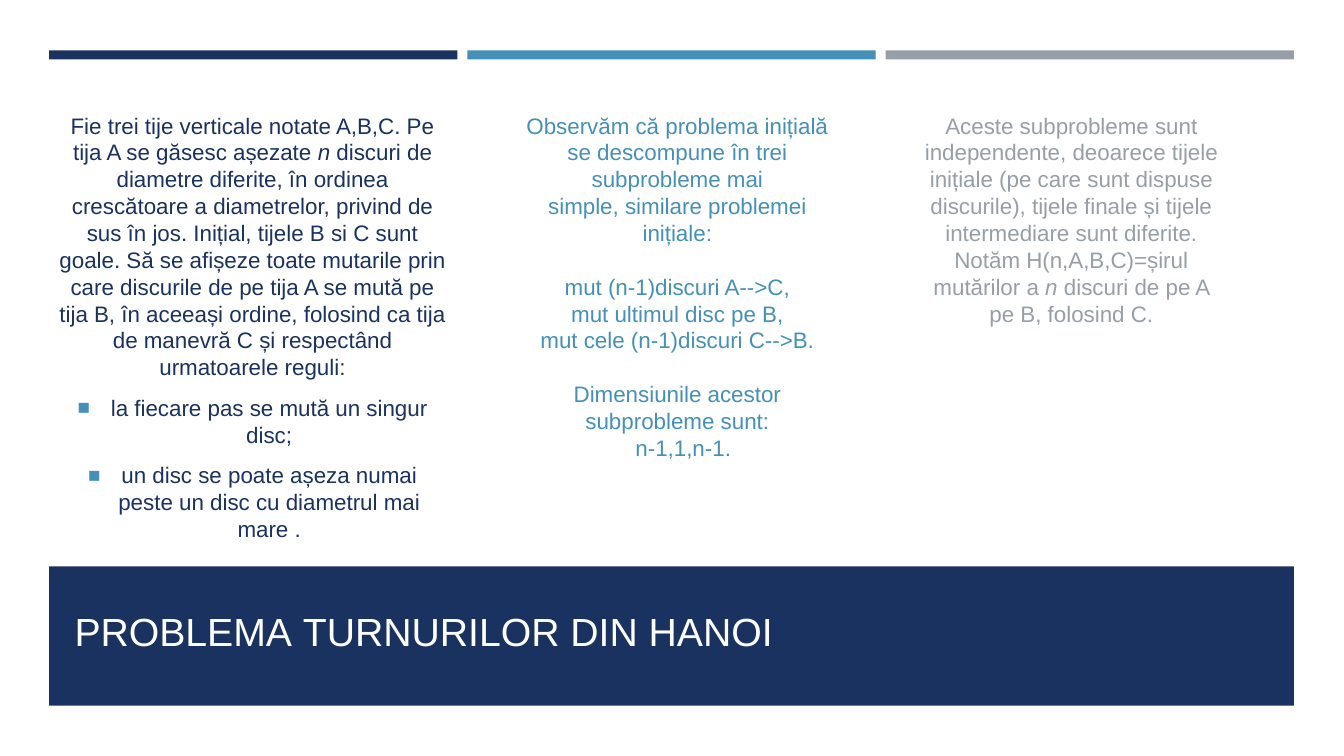
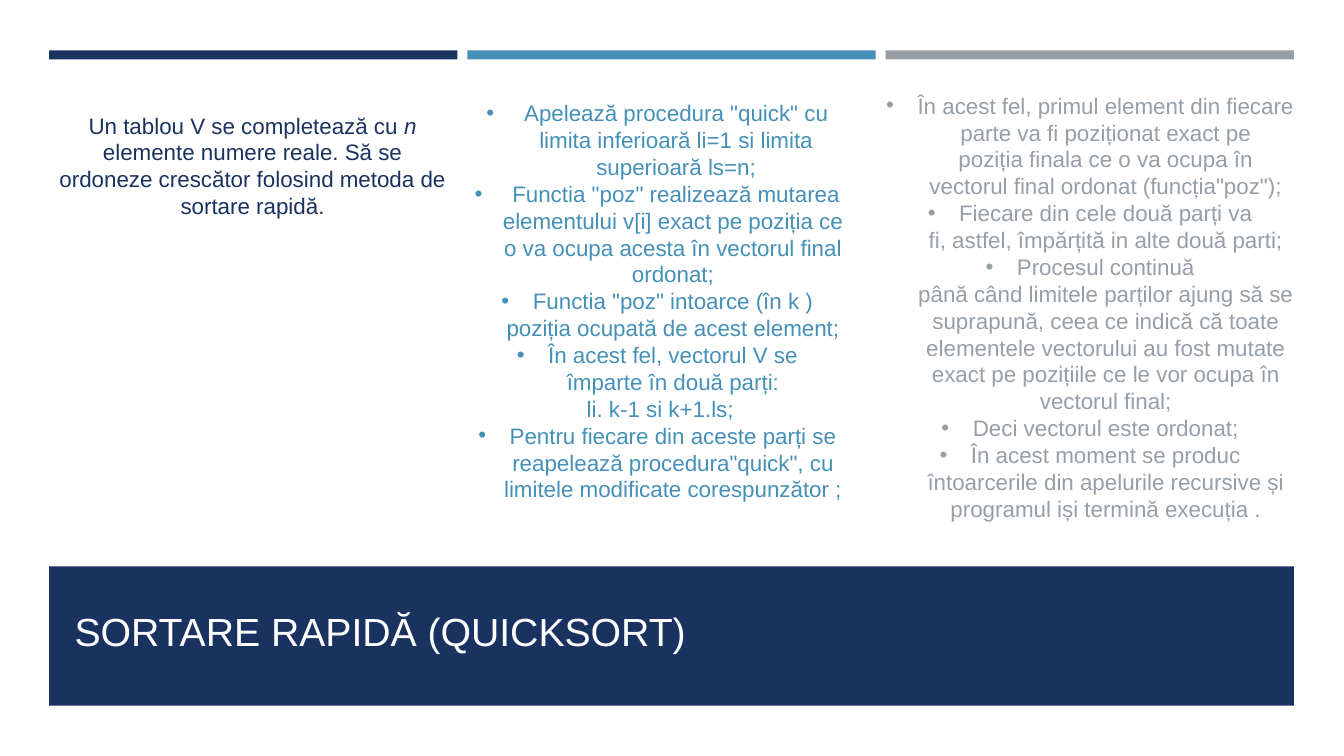
from lxml import etree
from pptx import Presentation
from pptx import util as u
from pptx.dml.color import RGBColor
from pptx.enum import shapes, text
from pptx.oxml.ns import qn

COLORS = {"navy": "1A3260", "blue": "4590B8", "gray": "969FA7", "white": "FFFFFF"}
FONT = "Arial"
BAR_LEFT, BAR_WIDTH, BAR_PITCH = 1.24, 10.29, 10.54
BAND_WIDTH = 2 * BAR_PITCH + BAR_WIDTH

# A paragraph is (text, bullet, left indent in cm, space before in points).
# In a text, ~ is a no-break space and *...* is italic.
SQUARE, DOT = "■", "•"
BLANK_LINE = 19.2
RULE_GAP = 9.8

SLIDES = [
    ("PROBLEMA~TURNURILOR DIN~HANOI", [
        ("navy", (1.24, 2.69, 10.25, 11.05), [
            ("Fie trei tije verticale notate A,B,C. Pe tija A se găsesc așezate~*n *discuri de "
             "diametre diferite, în ordinea crescătoare a diametrelor, privind~de sus în jos. "
             "Inițial,~tijele B si C~sunt goale. Să se afișeze toate mutarile prin care discurile "
             "de pe tija A se mută pe tija B, în aceeași ordine,~folosind ca tija de manevră C "
             "și respectând urmatoarele reguli:", None, 0, 0),
            ("la fiecare pas se mută un singur disc;", SQUARE, 0.84, RULE_GAP),
            ("un disc se poate așeza numai peste un disc cu diametrul mai mare .",
             SQUARE, 0.84, RULE_GAP),
        ]),
        ("blue", (12.97, 2.69, 8.2, 9.14), [
            ("Observăm că~problema inițială se descompune~în trei subprobleme mai "
             "simple,~similare problemei inițiale:", None, 0, 0),
            ("mut (n-1)discuri A-->C,", None, 0, BLANK_LINE),
            ("mut ultimul disc pe B,", None, 0, 0),
            ("mut cele~(n-1)discuri C-->B.", None, 0, 0),
            ("Dimensiunile acestor subprobleme sunt:", None, 0, BLANK_LINE),
            ("n-1,1,n-1.", None, 0.3, 0),
        ]),
        ("gray", (23.05, 2.69, 7.9, 6.4), [
            ("Aceste subprobleme sunt independente,~deoarece tijele inițiale (pe care sunt "
             "dispuse discurile),~tijele finale și tijele intermediare sunt diferite. Notăm "
             "H(n,A,B,C)=șirul mutărilor a *n *discuri de pe A pe B, folosind C.", None, 0, 0),
        ]),
    ]),
    ("SORTARE RAPIDĂ~(QUICKSORT)", [
        ("navy", (1.24, 2.69, 10.25, 11.05), [
            ("Un tablou V se completează cu *n *elemente numere reale.~Să se ordoneze crescător "
             "folosind metoda de sortare rapidă.", None, 0, 0),
        ]),
        ("blue", (11.6, 2.38, 9.93, 10.52), [
            ('Apelează procedura "quick" cu limita inferioară li=1 si limita superioară ls=n;',
             DOT, 0.95, 0),
            ('~Functia "poz"~realizează mutarea elementului v[i] exact pe poziția ce o va ocupa '
             "acesta în vectorul final ordonat;", DOT, 0.79, 0),
            ('Functia "poz" intoarce (în k ) poziția ocupată de acest element;', DOT, 0.79, 0),
            ("În acest fel,~vectorul V se împarte~în două parți:", DOT, 0.79, 0),
            ("li. k-1 si k+1.ls;", None, 0.15, 0),
            ('Pentru fiecare din aceste parți se reapelează procedura"quick",~cu limitele '
             "modificate corespunzător ;", DOT, 0.79, 0),
        ]),
        ("gray", (22.02, 2.19, 10.9, 12.57), [
            ("În acest fel, primul element din fiecare parte va fi poziționat exact pe "
             "poziția~finala~ce~o~va~ocupa~în", DOT, 0.79, 0),
            ('vectorul final ordonat (funcția"poz");', None, 0.79, 0),
            ("Fiecare din cele două parți va fi,~astfel, împărțită in alte două parti;",
             DOT, 0.79, 0),
            ("Procesul continuă până~când~limitele~parților~ajung~să~se suprapună, ceea ce "
             "indică că toate elementele vectorului au fost mutate exact pe pozițiile ce le "
             "vor ocupa în vectorul~final;", DOT, 0.79, 0),
            ("Deci vectorul este ordonat;", DOT, 0.79, 0),
            ("În acest moment se produc întoarcerile~din~apelurile~recursive~și programul iși "
             "termină execuția~.", DOT, 0.79, 0),
        ]),
    ]),
]


def add_bar(page, color, left, top, width, height):
    bar = page.shapes.add_shape(shapes.MSO_SHAPE.RECTANGLE,
                                u.Cm(left), u.Cm(top), u.Cm(width), u.Cm(height))
    bar.shadow.inherit = False
    bar.fill.solid()
    bar.fill.fore_color.rgb = RGBColor.from_string(COLORS[color])
    bar.line.fill.background()


def add_text(page, color, place, paragraphs, size=16, align=text.PP_ALIGN.CENTER,
             anchor=text.MSO_ANCHOR.TOP):
    box = page.shapes.add_textbox(*map(u.Cm, place))
    frame = box.text_frame
    frame.word_wrap = True
    frame.vertical_anchor = anchor
    for index, (content, bullet, indent, before) in enumerate(paragraphs):
        para = frame.paragraphs[0] if index == 0 else frame.add_paragraph()
        para.alignment = align
        para.space_before = u.Pt(before)
        props = para._p.get_or_add_pPr()
        props.set("marL", str(u.Cm(indent)))
        if bullet:
            props.set("indent", str(-u.Cm(indent)))
            if bullet == SQUARE:
                tint = etree.SubElement(props, qn("a:buClr"))
                etree.SubElement(tint, qn("a:srgbClr"), val=COLORS["blue"])
                etree.SubElement(props, qn("a:buSzPct"), val="92000")
            etree.SubElement(props, qn("a:buFont"), typeface=FONT)
            etree.SubElement(props, qn("a:buChar"), char=bullet)
        for part, words in enumerate(content.split("*")):
            span = para.add_run()
            span.text = words.replace("~", chr(160))
            span.font.name = FONT
            span.font.size = u.Pt(size)
            span.font.italic = part % 2 == 1
            span.font.color.rgb = RGBColor.from_string(COLORS[color])


deck = Presentation()
deck.slide_width, deck.slide_height = u.Cm(33.87), u.Cm(19.05)

for title, columns in SLIDES:
    page = deck.slides.add_slide(deck.slide_layouts[6])
    for column, color in enumerate(("navy", "blue", "gray")):
        add_bar(page, color, BAR_LEFT + column * BAR_PITCH, 1.27, BAR_WIDTH, 0.23)
    add_bar(page, "navy", BAR_LEFT, 14.27, BAND_WIDTH, 3.51)
    add_text(page, "white", (1.63, 14.61, 30.63, 2.01), [(title, None, 0, 0)],
             size=28, align=text.PP_ALIGN.LEFT, anchor=text.MSO_ANCHOR.BOTTOM)
    for color, place, paragraphs in columns:
        add_text(page, color, place, paragraphs)

deck.save("out.pptx")
